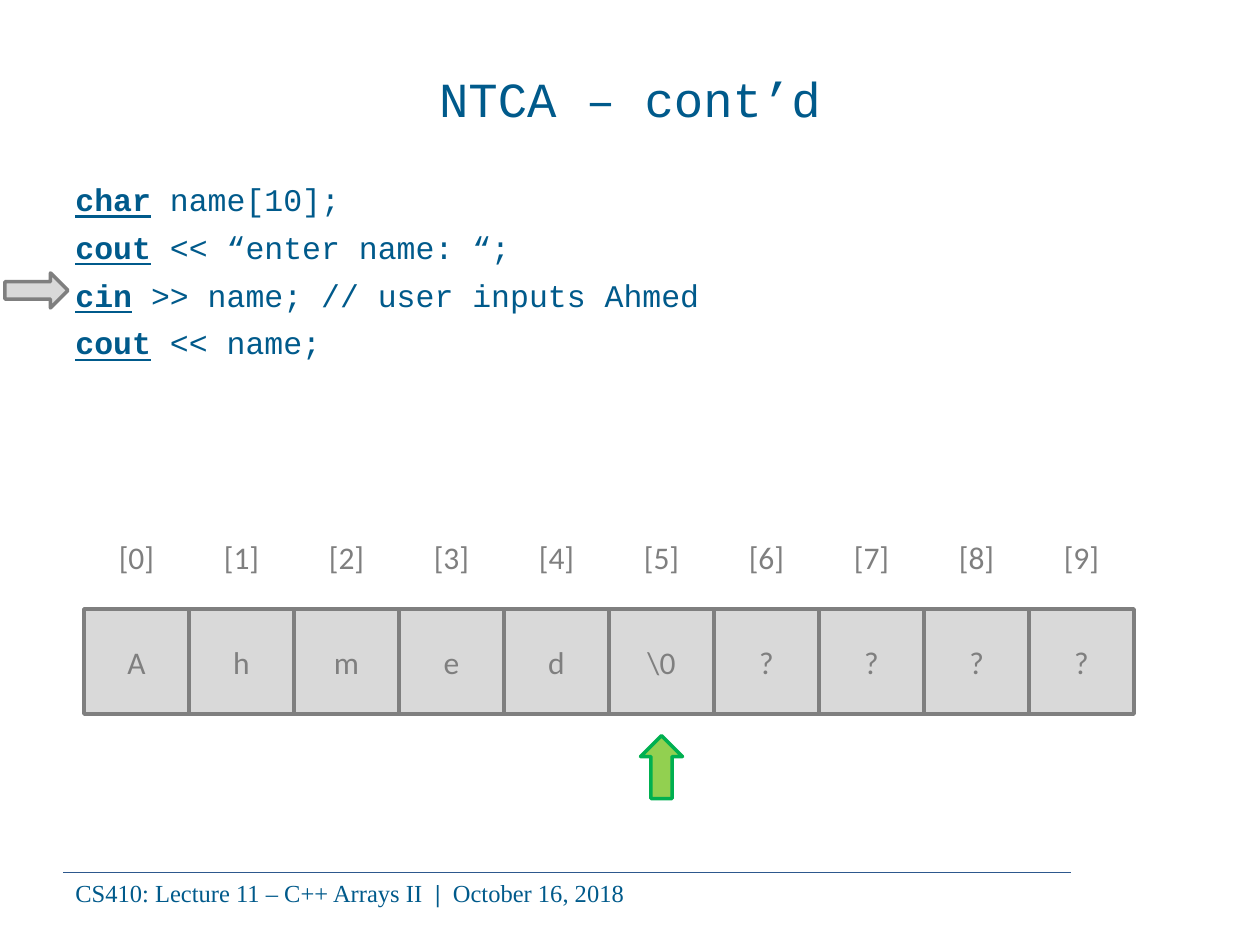
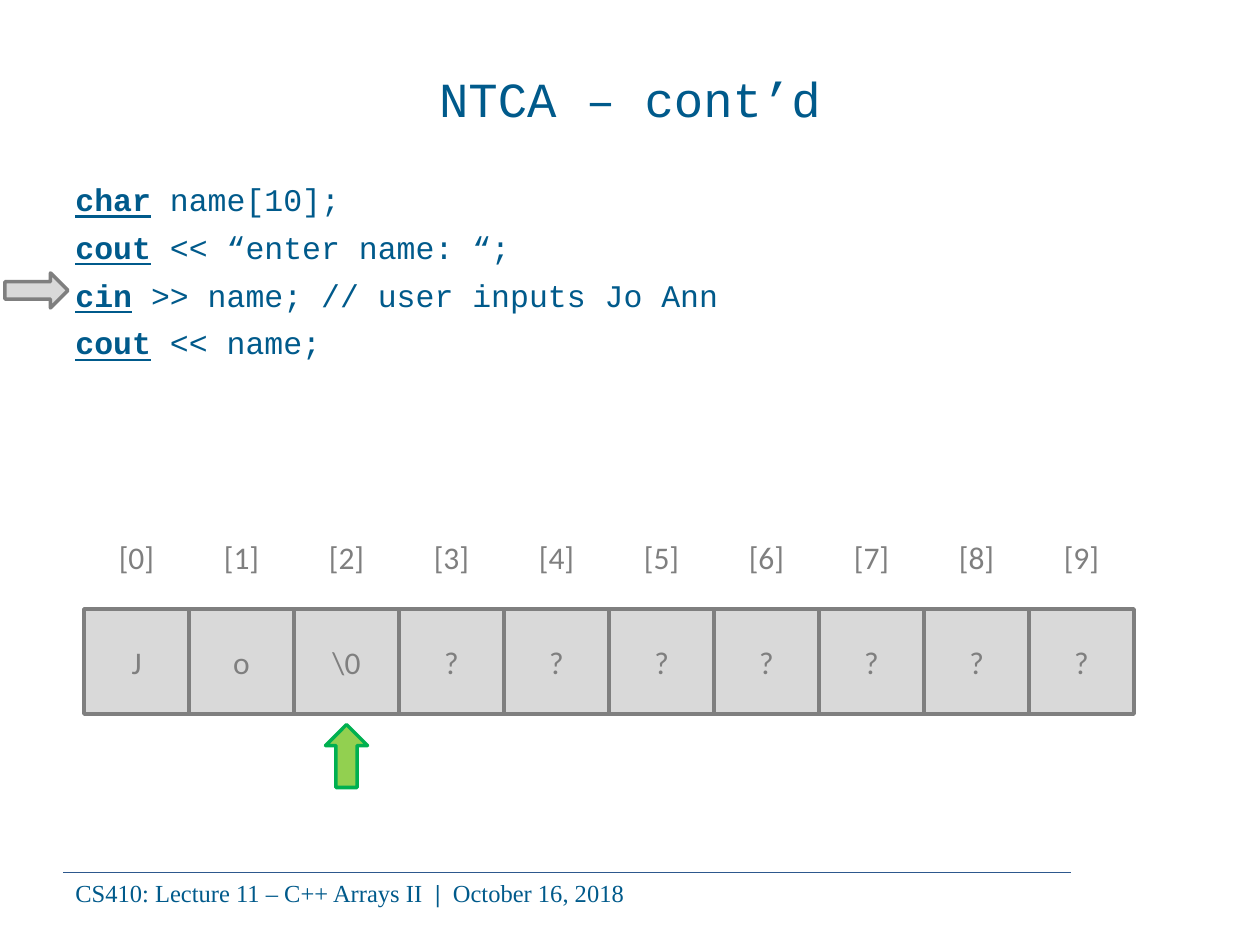
from pptx import Presentation
from pptx.dml.color import RGBColor
from pptx.enum.shapes import MSO_CONNECTOR, MSO_SHAPE
from pptx.enum.text import MSO_ANCHOR, PP_ALIGN
from pptx.oxml.ns import qn
from pptx.util import Pt
from lxml.etree import SubElement

PX_PER_INCH = 126
BLUE = RGBColor(0x00, 0x5A, 0x8B)
RULE_BLUE = RGBColor(0x2D, 0x58, 0x8D)
GREY = RGBColor(0x7F, 0x7F, 0x7F)
LIGHT_GREY = RGBColor(0xD9, 0xD9, 0xD9)
GREEN = RGBColor(0x00, 0xB0, 0x50)
LIGHT_GREEN = RGBColor(0x92, 0xD0, 0x50)

TITLE = "NTCA – cont’d"
CELL = 105
ARRAY_LEFT, ARRAY_TOP = 84, 609
ARRAY_LENGTH = 10
POINTER_WIDTH, POINTER_HEIGHT = 63, 42
CODE_INDENT = 48


def px(length):
    return round(length * 914400 / PX_PER_INCH)


def set_font(para, size, name, color):
    para.font.size = Pt(size)
    para.font.name = name
    para.font.color.rgb = color


def add_box(page, left, top, width, height, anchor=MSO_ANCHOR.TOP):
    box = page.shapes.add_textbox(px(left), px(top), px(width), px(height))
    box.text_frame.word_wrap = True
    box.text_frame.vertical_anchor = anchor
    return box


def write_centred(shape, text, size, name, color):
    para = shape.text_frame.paragraphs[0]
    para.text = text
    para.alignment = PP_ALIGN.CENTER
    set_font(para, size, name, color)


def add_filled_shape(page, kind, left, top, width, height, fill, line):
    shape = page.shapes.add_shape(kind, px(left), px(top), px(width), px(height))
    shape.shadow.inherit = False
    shape.fill.solid()
    shape.fill.fore_color.rgb = fill
    shape.line.color.rgb = line
    shape.line.width = Pt(2)
    return shape


def add_title(page):
    box = add_box(page, 63, 38, 1134, 120, MSO_ANCHOR.MIDDLE)
    write_centred(box, TITLE, 28, "Courier New", BLUE)


def add_footer(page):
    rule = page.shapes.add_connector(
        MSO_CONNECTOR.STRAIGHT, px(63), px(872), px(1071), px(872))
    rule.line.color.rgb = RULE_BLUE
    rule.line.width = Pt(0.5)
    SubElement(rule._element.spPr, qn("a:effectLst"))

    box = add_box(page, 63, 872, 1029, 43)
    para = box.text_frame.paragraphs[0]
    for text, bold in (("CS410: Lecture 11 – C++ Arrays II  ", False),
                       ("|  ", True),
                       ("October 16, 2018", False)):
        span = para.add_run()
        span.text = text
        span.font.bold = bold
    set_font(para, 14, "Times New Roman", BLUE)


def add_code(page, lines):
    """Each line is a keyword, set bold and underlined, and the code after it."""
    frame = add_box(page, 63, 168, 1155, 678).text_frame
    frame.margin_top = px(12)
    for number, (keyword, rest) in enumerate(lines):
        para = frame.add_paragraph() if number else frame.paragraphs[0]
        if number:
            para.space_before = Pt(5.7)
        properties = para._p.get_or_add_pPr()
        properties.set("marL", str(px(CODE_INDENT)))
        properties.set("indent", str(-px(CODE_INDENT)))
        span = para.add_run()
        span.text = keyword
        span.font.bold = span.font.underline = True
        para.add_run().text = rest
        set_font(para, 18, "Courier New", BLUE)


def add_array(page, values):
    lefts = [ARRAY_LEFT + CELL * index for index in range(ARRAY_LENGTH)]
    for left, value in zip(lefts, values):
        cell = add_filled_shape(page, MSO_SHAPE.RECTANGLE, left, ARRAY_TOP,
                                CELL, CELL, LIGHT_GREY, GREY)
        cell.text_frame.vertical_anchor = MSO_ANCHOR.MIDDLE
        write_centred(cell, value, 18, "Calibri", GREY)
    for index, left in enumerate(lefts):
        label = add_box(page, left, ARRAY_TOP - CELL, CELL, CELL, MSO_ANCHOR.MIDDLE)
        write_centred(label, f"[{index}]", 18, "Calibri", GREY)


def add_null_pointer(page, index, top):
    left = ARRAY_LEFT + CELL * index + (CELL - POINTER_WIDTH) // 2
    arrow = add_filled_shape(page, MSO_SHAPE.RIGHT_ARROW, left, top, POINTER_WIDTH,
                             POINTER_HEIGHT, LIGHT_GREEN, GREEN)
    arrow.rotation = 270


def add_input_page(deck, typed_name, stored_name, pointer_top):
    page = deck.slides.add_slide(deck.slide_layouts[6])
    add_footer(page)
    add_title(page)
    add_code(page, [("char", " name[10];"),
                    ("cout", " << “enter name: “;"),
                    ("cin", f" >> name; // user inputs {typed_name}"),
                    ("cout", " << name;")])
    # Marker of the current code line
    add_filled_shape(page, MSO_SHAPE.RIGHT_ARROW, 5, 273, 63, 35, LIGHT_GREY, GREY)
    # Array contents: the name, its terminator, then unknown values
    unknown = ["?"] * (ARRAY_LENGTH - len(stored_name) - 1)
    add_array(page, [*stored_name, "\\0", *unknown])
    add_null_pointer(page, len(stored_name), pointer_top)


def main():
    deck = Presentation()
    deck.slide_width, deck.slide_height = px(1260), px(945)
    add_input_page(deck, "Ahmed", "Ahmed", 746)
    add_input_page(deck, "Jo Ann", "Jo", 735)
    deck.save("out.pptx")


if __name__ == "__main__":
    main()
